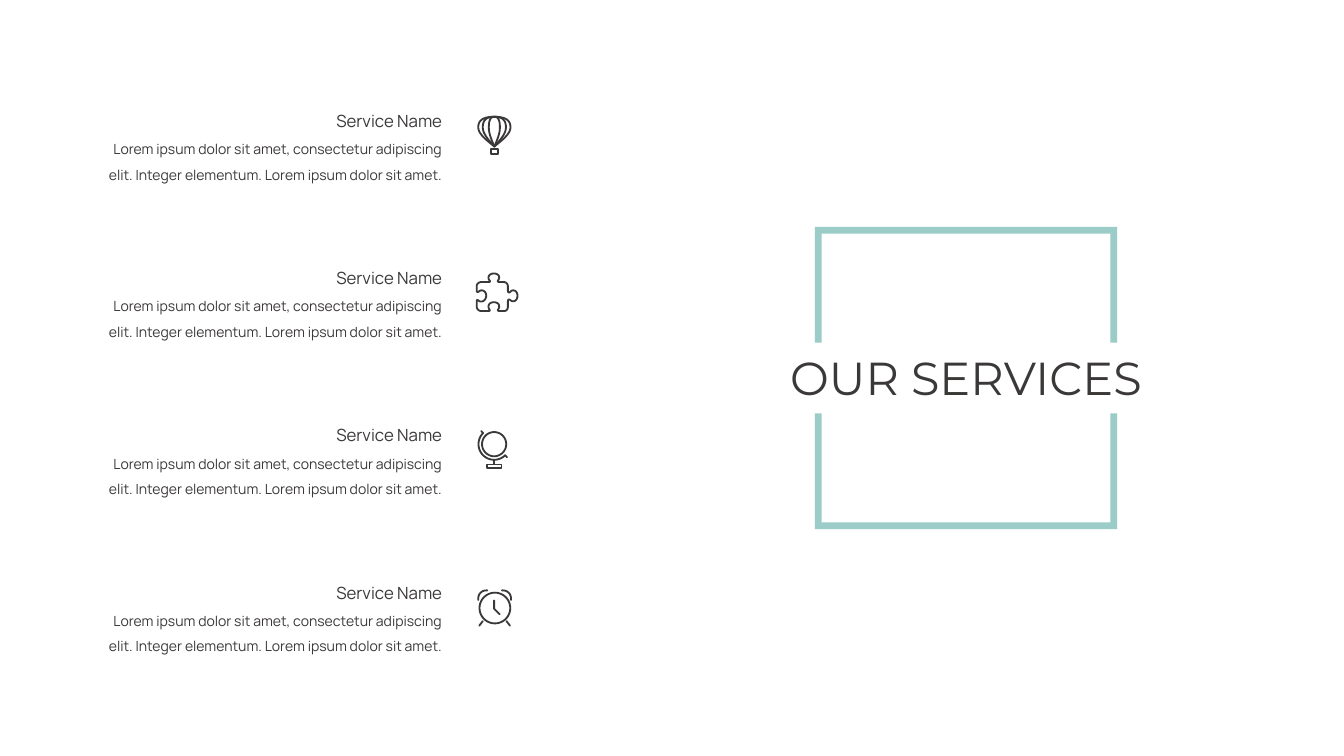
from math import cos, sin, radians
from lxml.etree import SubElement
from pptx import Presentation
from pptx.dml.color import RGBColor
from pptx.enum.shapes import MSO_SHAPE
from pptx.enum.text import MSO_ANCHOR, MSO_AUTO_SIZE, PP_ALIGN
from pptx.oxml.ns import qn
from pptx.util import Cm, Pt

INK, TEAL, WHITE = "3B3838", "9BCCC8", "FFFFFF"
UNIT = Cm(2.54) / 100
LOREM = ("Lorem ipsum dolor sit amet, consectetur adipiscing elit. "
         "Integer elementum. Lorem ipsum dolor sit amet.")


def hue(code):
    return RGBColor.from_string(code)


def style(item, values):
    for name, value in values.items():
        setattr(item, name, value)


def write(shape, text, size, face, align, gap=1.0):
    frame = shape.text_frame
    style(frame, {"word_wrap": True, "vertical_anchor": MSO_ANCHOR.TOP,
                  "auto_size": MSO_AUTO_SIZE.SHAPE_TO_FIT_TEXT})
    para = frame.paragraphs[0]
    style(para, {"alignment": align, "line_spacing": gap})
    run = para.add_run()
    run.text = text
    style(run.font, {"name": face, "size": Pt(size), "bold": False})
    run.font.color.rgb = hue(INK)


def trace(steps):
    points = [steps[0]]
    for step in steps[1:]:
        if len(step) == 2:
            points.append(step)
            continue
        x, y = points[-1]
        a, b, c, d, e, f = step
        for n in range(1, 11):
            t = n / 10
            u = 1 - t
            k = (u ** 3, 3 * u * u * t, 3 * u * t * t, t ** 3)
            points.append((k[0] * x + k[1] * a + k[2] * c + k[3] * e,
                           k[0] * y + k[1] * b + k[2] * d + k[3] * f))
    return points


def arc(x, y, r, start=0, end=360):
    turns = [radians(start + (end - start) * n / 48) for n in range(49)]
    return [(x + r * cos(t), y + r * sin(t)) for t in turns]


def block(left, top, right, foot):
    return [(left, top), (right, top), (right, foot), (left, foot), (left, top)]


def flip(points, width):
    return [(width - x, y) for x, y in points]


def draw(slide, left, top, paths, unit):
    build = None
    for path in paths:
        points = [(x * unit, y * unit) for x, y in path]
        if build is None:
            build = slide.shapes.build_freeform(*points[0])
        else:
            build.move_to(*points[0])
        build.add_line_segments(points[1:], close=path[0] == path[-1])
    shape = build.convert_to_shape(left, top)
    shape.shadow.inherit = False
    return shape


def balloon():
    paths = [block(27, 65.5, 40, 75)]
    for w in (-32, -23, -11, 11, 23, 32):
        paths.append(trace([(33, 1), (33 + 0.7 * w, 1, 33 + w, 8, 33 + w, 22),
                            (33 + w, 35, 33 + w / 2, 47, 33, 60)]))
    return paths


def puzzle():
    return [trace([
        (10, 18), (25, 18), (28, 18, 28, 16, 26, 14), (22, 8, 26, 1, 35, 1),
        (45, 1, 48, 8, 44, 14), (42, 16, 43, 18, 46, 18), (55, 18),
        (60, 18, 63, 22, 63, 27), (63, 35), (63, 39, 66, 40, 68, 37),
        (74, 31, 82, 36, 82, 45), (82, 55, 74, 59, 68, 54),
        (65, 51, 63, 53, 63, 56), (63, 67), (63, 72, 60, 75.5, 55, 75.5),
        (46, 75.5), (43, 75, 42, 74, 44, 72), (48, 65, 45, 58, 35, 58),
        (26, 58, 22, 65, 26, 72), (28, 74, 27, 75.5, 25, 75.5), (10, 75.5),
        (5, 75.5, 1, 71, 1, 66), (1, 56), (1, 53, 3, 53, 5, 55),
        (11, 60, 20, 54, 20, 45), (20, 36, 11, 31, 5, 37),
        (3, 39, 1, 37, 1, 35), (1, 26), (1, 22, 5, 18, 10, 18)])]


def globe():
    return [arc(32.5, 27, 24),
            [(7, 1), *arc(32.5, 27, 31, 225, 45), (58, 53)],
            [(32.5, 58), (32.5, 67)], block(18, 67.5, 47, 75)]


def clock():
    bell = trace([(48, 1), (50, 1), (59, 1, 66, 8, 66, 17), (66, 20)])
    leg = [(57, 62), (64, 71)]
    return [arc(34, 36, 30.5), [(32.5, 21), (32.5, 37.5), (43.5, 48.5)],
            bell, flip(bell, 67), leg, flip(leg, 67)]


def service(slide, left, top, width, icon, shift, drop):
    body = slide.shapes.add_textbox(left, top + Cm(1.6), width, Cm(2.82))
    write(body, LOREM, 20, "Manrope", PP_ALIGN.RIGHT, 1.5)
    span = Cm(10.31)
    name = slide.shapes.add_textbox(left + width - span, top, span, Cm(1.8))
    write(name, "Service Name", 24, "Manrope", PP_ALIGN.RIGHT, 1.5)
    mark = draw(slide, left + width + shift, top + drop, icon(), UNIT)
    mark.fill.background()
    mark.line.color.rgb = hue(INK)
    mark.line.width = Pt(2.6)
    mark.element.spPr.find(qn("a:ln")).set("cap", "rnd")


def banner(slide, left, top, side):
    panel = slide.shapes.add_shape(MSO_SHAPE.RECTANGLE, left, top, side, side)
    panel.shadow.inherit = False
    panel.fill.solid()
    panel.fill.fore_color.rgb = hue(WHITE)
    panel.line.fill.background()
    tint = panel.element.spPr.find(".//" + qn("a:srgbClr"))
    SubElement(tint, qn("a:alpha")).set("val", "70000")

    size, arm, thick = 15.24, 5.84, 0.34
    upper = [(0, 0), (size, 0), (size, arm), (size - thick, arm),
             (size - thick, thick), (thick, thick), (thick, arm), (0, arm), (0, 0)]
    lower = [(x, size - y) for x, y in upper]
    frame = draw(slide, left + Cm(11.43), top + Cm(11.43), [upper, lower], Cm(1))
    frame.fill.solid()
    frame.fill.fore_color.rgb = hue(TEAL)
    frame.line.fill.background()

    title = slide.shapes.title
    style(title, {"left": left + Cm(3.66), "top": top + Cm(17.5),
                  "width": Cm(30.78), "height": Cm(3.07)})
    write(title, "OUR SERVICES", 66, "Montserrat", PP_ALIGN.CENTER)
    frame.element.addnext(title.element)


def main():
    deck = Presentation()
    style(deck, {"slide_width": Cm(67.74), "slide_height": Cm(38.1)})
    slide = deck.slides.add_slide(deck.slide_layouts[5])
    banner(slide, Cm(29.64), Cm(0), Cm(38.1))
    rows = [(balloon, 1.55, 0.91), (puzzle, 1.47, 0.89),
            (globe, 1.55, 0.91), (clock, 1.55, 1.02)]
    for n, (icon, shift, drop) in enumerate(rows):
        service(slide, Cm(4.65), Cm(4.95 + 7.92 * n), Cm(17.88),
                icon, Cm(shift), Cm(drop))
    deck.save("out.pptx")


if __name__ == "__main__":
    main()
